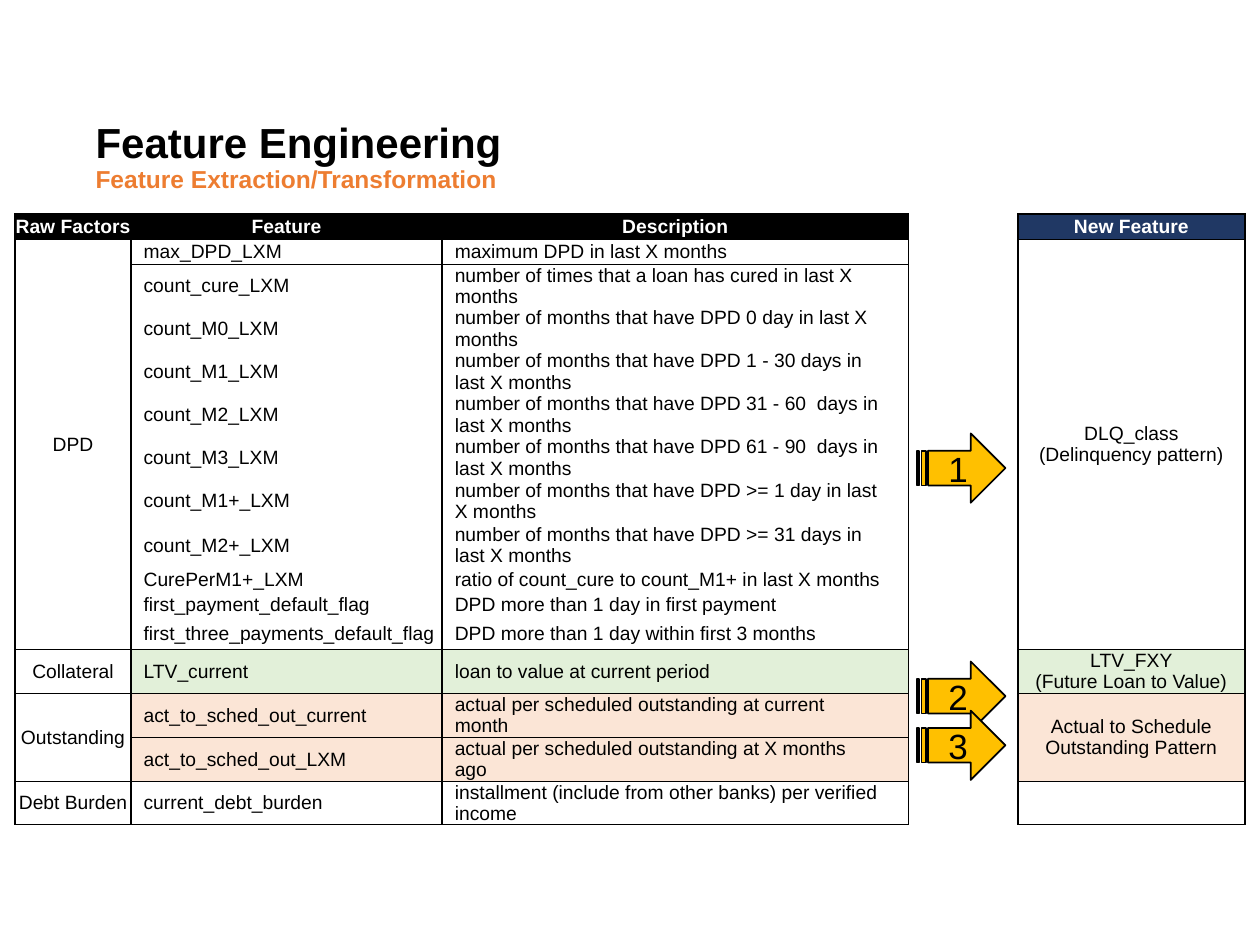
from dataclasses import dataclass
from typing import Optional

from lxml import etree
from pptx import Presentation
from pptx.dml.color import RGBColor
from pptx.enum import shapes, text
from pptx.oxml import ns
from pptx.util import Inches, Pt


@dataclass(frozen=True)
class Theme:
    font: str = "Arial"
    ink: str = "000000"
    paper: str = "FFFFFF"
    accent: str = "ED7D31"
    navy: str = "203864"
    green: str = "E2F0D9"
    peach: str = "FBE5D6"
    arrow: str = "FFC000"
    title_size: int = 24
    subtitle_size: int = 14
    table_size: int = 11
    arrow_size: int = 20
    line_width: int = 1


@dataclass(frozen=True)
class Feature:
    name: str
    description: str
    height: float


@dataclass(frozen=True)
class Group:
    """Features that share one raw factor and lead to one new feature."""
    factor: str
    features: list[Feature]
    new_feature: list[str]
    fill: Optional[str] = None


@dataclass(frozen=True)
class Step:
    label: str
    top: float


THEME = Theme()
NO_STYLE = "{2D5ABB26-0587-4C30-8999-92F81FD0307C}"
COLUMN_WIDTHS = [0.92, 2.47, 3.7, 0.87, 1.8]
FACTOR, NAME, DESCRIPTION, GAP, NEW = range(5)
HEADER_HEIGHT = 0.2
HEADINGS = {FACTOR: "Raw Factors", NAME: "Feature",
            DESCRIPTION: "Description", NEW: "New Feature"}
GROUPS = [
    Group("DPD", [
        Feature("max_DPD_LXM", "maximum DPD in last X months", 0.2),
        Feature("count_cure_LXM", "number of times that a loan has cured in last X months", 0.34),
        Feature("count_M0_LXM", "number of months that have DPD 0 day in last X months", 0.34),
        Feature("count_M1_LXM", "number of months that have DPD 1 - 30 days in last X months", 0.34),
        Feature("count_M2_LXM", "number of months that have DPD 31 - 60  days in last X months", 0.34),
        Feature("count_M3_LXM", "number of months that have DPD 61 - 90  days in last X months", 0.34),
        Feature("count_M1+_LXM", "number of months that have DPD >= 1 day in last X months", 0.35),
        Feature("count_M2+_LXM", "number of months that have DPD >= 31 days in last X months", 0.35),
        Feature("CurePerM1+_LXM", "ratio of count_cure to count_M1+ in last X months", 0.2),
        Feature("first_payment_default_flag", "DPD more than 1 day in first payment", 0.2),
        Feature("first_three_payments_default_flag", "DPD more than 1 day within first 3 months", 0.25),
    ], ["DLQ_class", "(Delinquency pattern)"]),
    Group("Collateral", [
        Feature("LTV_current", "loan to value at current period", 0.35),
    ], ["LTV_FXY", "(Future Loan to Value)"], THEME.green),
    Group("Outstanding", [
        Feature("act_to_sched_out_current", "actual per scheduled outstanding at current month", 0.35),
        Feature("act_to_sched_out_LXM", "actual per scheduled outstanding at X months ago", 0.35),
    ], ["Actual to Schedule Outstanding Pattern"], THEME.peach),
    Group("Debt Burden", [
        Feature("current_debt_burden",
                "installment (include from other banks) per verified income", 0.34),
    ], []),
]
STEPS = [Step("1", 3.44), Step("2", 5.25), Step("3", 5.64)]


def set_all(target, values: dict) -> None:
    for name, value in values.items():
        setattr(target, name, value)


def add_span(para, words: str, size: int, color: str, bold: bool = False) -> None:
    span = para.add_run()
    span.text = words
    set_all(span.font, {"name": THEME.font, "size": Pt(size), "bold": bold})
    span.font.color.rgb = RGBColor.from_string(color)


def fill_cell(cell, lines: list[str], color: str = THEME.ink, bold: bool = False,
              centered: bool = True) -> None:
    if not centered:
        set_all(cell, {"margin_left": Inches(0.1)})
    for index, words in enumerate(lines):
        frame = cell.text_frame
        para = frame.add_paragraph() if index else frame.paragraphs[0]
        para.alignment = text.PP_ALIGN.CENTER if centered else text.PP_ALIGN.LEFT
        add_span(para, words, THEME.table_size, color, bold)


def paint(cell, color: Optional[str]) -> None:
    if color:
        cell.fill.solid()
        cell.fill.fore_color.rgb = RGBColor.from_string(color)
    else:
        cell.fill.background()


def add_border(cell, side: str) -> None:
    line = etree.Element(ns.qn(f"a:ln{side}"), w=str(Pt(THEME.line_width)))
    fill = etree.SubElement(line, ns.qn("a:solidFill"))
    etree.SubElement(fill, ns.qn("a:srgbClr"), val=THEME.ink)
    properties = cell._tc.get_or_add_tcPr()
    borders = [child for child in properties if child.tag.startswith(ns.qn("a:ln"))]
    properties.insert(len(borders), line)


def outline_rows(table, first: int, last: int) -> None:
    """Frame each column but the gap over a range of rows."""
    for column in (FACTOR, NAME, DESCRIPTION, NEW):
        for row in range(first, last + 1):
            sides = ["L", "R"] + ["T"] * (row == first) + ["B"] * (row == last)
            for side in sides:
                add_border(table.cell(row, column), side)


def prepare_cell(cell) -> None:
    """Clear margins and keep an empty cell from stretching its row."""
    set_all(cell, {"margin_left": 0, "margin_right": 0, "margin_top": 0,
                   "margin_bottom": 0, "vertical_anchor": text.MSO_ANCHOR.MIDDLE})
    paint(cell, None)
    etree.SubElement(cell.text_frame.paragraphs[0]._p, ns.qn("a:endParaRPr"),
                     sz=str(THEME.table_size * 100))


def add_group(table, group: Group, first: int) -> int:
    """Fill the rows of a group and return the row after it."""
    last = first + len(group.features) - 1
    for row, feature in enumerate(group.features, first):
        table.rows[row].height = Inches(feature.height)
        fill_cell(table.cell(row, NAME), [feature.name], centered=False)
        fill_cell(table.cell(row, DESCRIPTION), [feature.description], centered=False)
        table.cell(row, DESCRIPTION).margin_right = Inches(0.2)
        for column in (NAME, DESCRIPTION, NEW):
            paint(table.cell(row, column), group.fill)
    outline_rows(table, first, last)
    if last > first:
        for column in (FACTOR, GAP, NEW):
            table.cell(first, column).merge(table.cell(last, column))
    fill_cell(table.cell(first, FACTOR), [group.factor])
    fill_cell(table.cell(first, NEW), group.new_feature)
    return last + 1


def add_feature_table(page) -> None:
    heights = [HEADER_HEIGHT] + [f.height for g in GROUPS for f in g.features]
    table = page.shapes.add_table(
        len(heights), len(COLUMN_WIDTHS), Inches(0.12), Inches(1.7),
        Inches(sum(COLUMN_WIDTHS)), Inches(sum(heights))).table
    set_all(table, {"first_row": False, "horz_banding": False})
    table._tbl.tblPr.find(ns.qn("a:tableStyleId")).text = NO_STYLE
    for column, width in zip(table.columns, COLUMN_WIDTHS):
        column.width = Inches(width)
    for cell in table.iter_cells():
        prepare_cell(cell)
    table.rows[0].height = Inches(HEADER_HEIGHT)
    for column, heading in HEADINGS.items():
        cell = table.cell(0, column)
        fill_cell(cell, [heading], THEME.paper, bold=True)
        paint(cell, THEME.navy if column == NEW else THEME.ink)
    outline_rows(table, 0, 0)
    row = 1
    for group in GROUPS:
        row = add_group(table, group, row)


def add_step_arrow(page, step: Step) -> None:
    arrow = page.shapes.add_shape(shapes.MSO_SHAPE.STRIPED_RIGHT_ARROW, Inches(7.28),
                                  Inches(step.top), Inches(0.7), Inches(0.55))
    arrow.shadow.inherit = False
    paint(arrow, THEME.arrow)
    arrow.line.color.rgb = RGBColor.from_string(THEME.ink)
    arrow.line.width = Pt(THEME.line_width)
    arrow.text_frame.vertical_anchor = text.MSO_ANCHOR.MIDDLE
    para = arrow.text_frame.paragraphs[0]
    para.alignment = text.PP_ALIGN.CENTER
    add_span(para, step.label, THEME.arrow_size, THEME.ink)


def add_title(page) -> None:
    box = page.shapes.add_textbox(Inches(0.66), Inches(0.92), Inches(8.98), Inches(0.42))
    box.text_frame.word_wrap = True
    para = box.text_frame.paragraphs[0]
    para.line_spacing = 0.9
    add_span(para, "Feature Engineering", THEME.title_size, THEME.ink, bold=True)
    para.add_line_break()
    add_span(para, "Feature Extraction/Transformation", THEME.subtitle_size, THEME.accent, bold=True)


def main() -> None:
    deck = Presentation()
    set_all(deck, {"slide_width": Inches(10), "slide_height": Inches(7.5)})
    page = deck.slides.add_slide(deck.slide_layouts[6])
    add_feature_table(page)
    for step in STEPS:
        add_step_arrow(page, step)
    add_title(page)
    deck.save("out.pptx")


if __name__ == "__main__":
    main()
